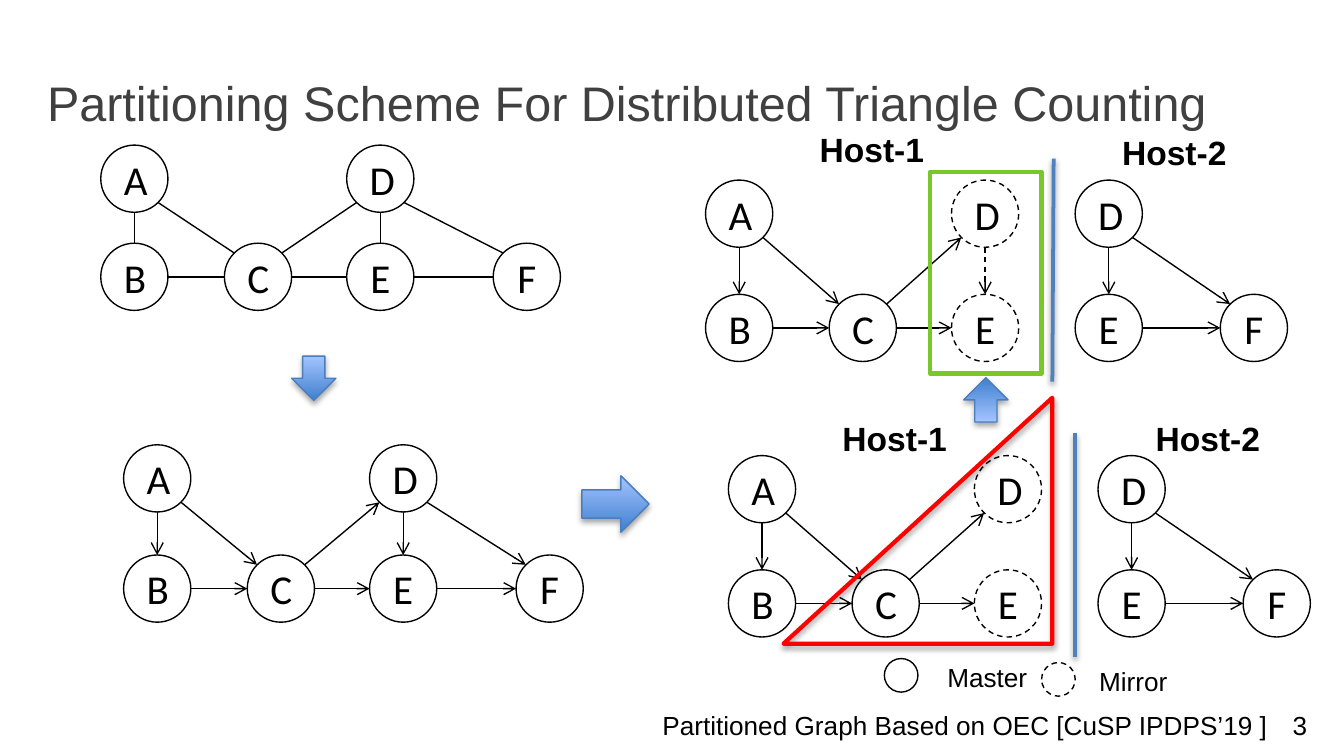
from pptx import Presentation
from pptx.dml.color import RGBColor as Rgb
from pptx.enum.dml import MSO_LINE as Dash
from pptx.enum.shapes import MSO_CONNECTOR as Conn, MSO_SHAPE as Kind
from pptx.enum.text import MSO_ANCHOR as Anchor, MSO_AUTO_SIZE as Fit, PP_ALIGN as Align
from pptx.oxml.ns import qn
from pptx.util import Inches, Pt
from lxml.etree import SubElement as Sub

HUES = {"ink": "000000", "title": "404040", "red": "FF0000", "green": "79C82A",
        "wall": "4F81BD", "edge": "4B7EBC", "deep": "3F80CE", "pale": "A4C4FF"}

# Content: lower-case nodes are mirrors, drawn dashed
TITLE = "Partitioning Scheme For Distributed Triangle Counting"
WHOLE = {"A": (0, 0), "B": (0, 1), "C": (0.92, 1),
         "D": (1.83, 0), "E": (1.83, 1), "F": (2.92, 1)}
SPLIT = {"A": (0, 0), "B": (0, 1), "C": (0.92, 1), "d": (1.83, 0), "e": (1.83, 1),
         "D": (2.75, 0), "E": (2.75, 1), "F": (3.83, 1)}
LINKS = "AB AC BC CD CE DE DF EF"
CUTS = "AB AC BC Cd Ce DE DF EF"
GRAPHS = [  # left, top, row gap, nodes, links, arrows
    (5.42, 3.39, 0.85, SPLIT, CUTS, True),
    (0.75, 1.08, 0.73, WHOLE, LINKS, False),
    (0.92, 3.31, 0.82, WHOLE, LINKS, True),
    (5.25, 1.34, 0.85, SPLIT, CUTS + " de", True),
]
WALLS = [(8, 3.22, 8, 4.89), (7.84, 1.18, 7.83, 2.84)]
STEPS = [  # kind, box, turn
    (Kind.DOWN_ARROW, (2.17, 2.65, 0.33, 0.33), 0),
    (Kind.RIGHT_ARROW, (4.33, 3.54, 0.5, 0.42), 0),
    (Kind.DOWN_ARROW, (7.17, 2.81, 0.33, 0.33), 180),
]
HOSTS = [("Host-1", 6.17, 3.06), ("Host-2", 8.5, 3.06),
         ("Host-1", 6, 0.91), ("Host-2", 8.25, 0.93)]
NOTES = [  # text, box, wrap
    ("Master", (6.95, 4.87, 0.8, 0.34), False),
    ("Mirror", (8.08, 4.9, 0.71, 0.34), False),
    ("Partitioned Graph Based on OEC [CuSP IPDPS’19 ]", (4.83, 5.23, 5.08, 0.34), True),
    ("3", (9.52, 5.23, 0.31, 0.34), False),
]
KEYS = [((6.58, 4.9, 0.25, 0.25), False), ((7.75, 4.93, 0.25, 0.25), True)]
SIZE = 0.5

# Wide 16:9 slide
deck = Presentation()
deck.slide_width, deck.slide_height = Inches(10), Inches(10 * 9 / 16)
slide = deck.slides.add_slide(deck.slide_layouts[5])
shapes = slide.shapes


def hue(name):
    return Rgb.from_string(HUES[name])


def inch(nums):
    return [Inches(n) for n in nums]


def write(frame, text, size=14, font="Arial", color="ink", bold=False,
          align=Align.LEFT, anchor=Anchor.TOP, wrap=True):
    frame.word_wrap = wrap
    frame.vertical_anchor = anchor
    para = frame.paragraphs[0]
    para.alignment = align
    run = para.add_run()
    run.text = text
    run.font.size, run.font.name, run.font.bold = Pt(size), font, bold
    run.font.color.rgb = hue(color)


def label(text, box, **style):
    write(shapes.add_textbox(*inch(box)).text_frame, text, **style)


def stroke(line, color, width, dash=False):
    line.color.rgb = hue(color)
    line.width = Pt(width)
    if dash:
        line.dash_style = Dash.DASH


def shade(shape, dist=1.8, alpha=35):
    """Soft black shadow straight below."""
    fx = shape.element.spPr.find(qn("a:effectLst"))
    drop = Sub(fx, qn("a:outerShdw"), blurRad=str(Pt(3.1)), dist=str(Pt(dist)),
               dir="5400000", rotWithShape="0")
    tint = Sub(drop, qn("a:srgbClr"), val=HUES["ink"])
    Sub(tint, qn("a:alpha"), val=str(alpha * 1000))


def draw(kind, box, color="ink", width=0.75, dash=False):
    shape = shapes.add_shape(kind, *inch(box))
    shape.shadow.inherit = False
    shape.fill.background()
    stroke(shape.line, color, width, dash)
    return shape


def join(ends, color="ink", width=0.75, dash=False, arrow=False):
    line = shapes.add_connector(Conn.STRAIGHT, *inch(ends))
    stroke(line.line, color, width, dash)
    props = line.element.spPr
    if arrow:
        Sub(props.find(qn("a:ln")), qn("a:tailEnd"), type="arrow")
    Sub(props, qn("a:effectLst"))
    return line


def sign(num):
    return (num > 0) - (num < 0)


def graph(left, top, gap, nodes, links, arrow):
    mids = {}
    for name, (col, row) in nodes.items():
        x, y = left + col, top + row * gap
        mids[name] = x + SIZE / 2, y + SIZE / 2
        disc = draw(Kind.OVAL, (x, y, SIZE, SIZE), dash=name.islower())
        write(disc.text_frame, name.upper(), size=22, font="Calibri",
              align=Align.CENTER, anchor=Anchor.MIDDLE)
    # Links run rim to rim: straight along rows and columns, else at 45 degrees
    for a, b in links.split():
        (x1, y1), (x2, y2) = mids[a], mids[b]
        dx, dy = sign(x2 - x1), sign(y2 - y1)
        rim = SIZE / 2 * (0.71 if dx and dy else 1)
        join((x1 + dx * rim, y1 + dy * rim, x2 - dx * rim, y2 - dy * rim),
             dash=a.islower(), arrow=arrow)


# Title
head = shapes.title
head.left, head.top, head.width, head.height = inch((0.25, 0.29, 9, 0.94))
head.text_frame.auto_size = Fit.NONE
write(head.text_frame, TITLE, size=26, color="title", anchor=Anchor.MIDDLE)

# Graphs and the walls between hosts
for item in GRAPHS:
    graph(*item)
for ends in WALLS:
    shade(join(ends, "wall", 2), 1.6, 38)

# Marked regions
wedge = draw(Kind.ISOSCELES_TRIANGLE, (5.83, 2.96, 2, 1.83), "red", 2.25)
wedge.adjustments[0] = 1
shade(wedge)
draw(Kind.RECTANGLE, (6.92, 1.28, 0.83, 1.5), "green", 2.25)

# Step arrows
for kind, box, turn in STEPS:
    step = draw(kind, box, "edge")
    step.rotation = turn
    step.fill.gradient()
    step.fill.gradient_angle = 90
    for stop, name in zip(step.fill.gradient_stops, ("deep", "pale")):
        stop.color.rgb = hue(name)
    shade(step)

# Host names, legend and footer
for text, x, y in HOSTS:
    label(text, (x, y, 0.99, 0.4), size=18, bold=True, wrap=False)
for text, box, wrap in NOTES:
    label(text, box, wrap=wrap)
for box, dash in KEYS:
    draw(Kind.OVAL, box, dash=dash)

deck.save("out.pptx")
